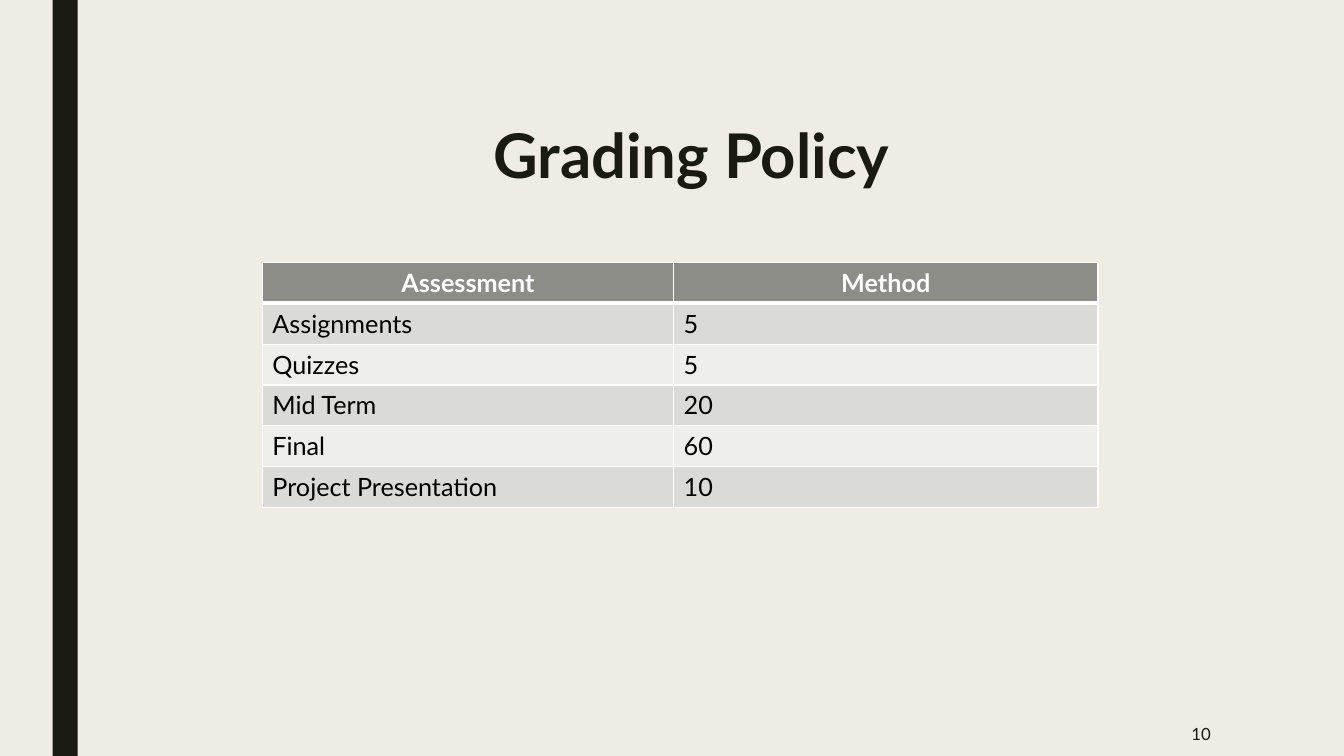
"""Build the Grading Policy slide."""
from dataclasses import dataclass

from lxml.etree import SubElement
from pptx import Presentation
from pptx.dml.color import RGBColor
from pptx.enum.shapes import MSO_SHAPE
from pptx.enum.text import MSO_ANCHOR, PP_ALIGN
from pptx.oxml.ns import qn
from pptx.slide import Slide
from pptx.table import _Cell
from pptx.text.text import _Paragraph
from pptx.util import Pt


@dataclass(frozen=True)
class Theme:
    font: str = "Lato"
    background: str = "EFEDE3"
    dark: str = "191B0E"
    white: str = "FFFFFF"
    black: str = "000000"
    header: str = "8C8D86"
    bands: tuple[str, str] = ("DADBD9", "EEEEED")
    title_size: float = 44
    table_size: float = 18
    number_size: float = 12


@dataclass(frozen=True)
class Label:
    text: str
    left: float
    top: float
    width: float
    height: float
    size: float
    align: PP_ALIGN
    anchor: MSO_ANCHOR
    bold: bool = False
    spacing: float = 1.0


@dataclass(frozen=True)
class Grade:
    assessment: str
    method: str


THEME = Theme()
LABELS = [
    Label("Grading Policy", 115.9, 86.4, 756, 66.2, THEME.title_size,
          PP_ALIGN.CENTER, MSO_ANCHOR.TOP, True, 0.89),
    Label("10", 745.9, 508.3, 126, 31.7, THEME.number_size,
          PP_ALIGN.RIGHT, MSO_ANCHOR.MIDDLE),
]
GRADES = [
    Grade("Assessment", "Method"),
    Grade("Assignments", "5"),
    Grade("Quizzes", "5"),
    Grade("Mid Term", "20"),
    Grade("Final", "60"),
    Grade("Project Presentation", "10"),
]
COLUMN_WIDTHS = (293.8, 303.1)
ROW_HEIGHT = 29.2


def style_text(p: _Paragraph, size: float, color: str, bold: bool,
               align: PP_ALIGN) -> None:
    p.alignment = align
    p.font.name = THEME.font
    p.font.size = Pt(size)
    p.font.bold = bold
    p.font.color.rgb = RGBColor.from_string(color)


def add_bar(s: Slide) -> None:
    sp = s.shapes.add_shape(MSO_SHAPE.RECTANGLE, Pt(37.5), Pt(0), Pt(18), Pt(540))
    sp.shadow.inherit = False
    sp.fill.solid()
    sp.fill.fore_color.rgb = RGBColor.from_string(THEME.dark)
    sp.line.fill.background()


def add_label(s: Slide, label: Label) -> None:
    sp = s.shapes.add_textbox(Pt(label.left), Pt(label.top),
                              Pt(label.width), Pt(label.height))
    tf = sp.text_frame
    tf.word_wrap = True
    tf.vertical_anchor = label.anchor
    p = tf.paragraphs[0]
    p.text = label.text
    p.line_spacing = label.spacing
    style_text(p, label.size, THEME.dark, label.bold, label.align)


def set_borders(cell: _Cell, top: float, bottom: float) -> None:
    tc_pr = cell._tc.get_or_add_tcPr()
    for side, width in (("L", 1), ("R", 1), ("T", top), ("B", bottom)):
        ln = SubElement(tc_pr, qn(f"a:ln{side}"), w=str(Pt(width)))
        fill = SubElement(ln, qn("a:solidFill"))
        SubElement(fill, qn("a:srgbClr"), val=THEME.white)


def fill_cell(cell: _Cell, text: str, row: int) -> None:
    is_header = row == 0
    set_borders(cell, 3 if row == 1 else 1, 3 if is_header else 1)
    cell.fill.solid()
    color = THEME.header if is_header else THEME.bands[(row - 1) % 2]
    cell.fill.fore_color.rgb = RGBColor.from_string(color)
    p = cell.text_frame.paragraphs[0]
    p.text = text
    style_text(p, THEME.table_size, THEME.white if is_header else THEME.black,
               is_header, PP_ALIGN.CENTER if is_header else PP_ALIGN.LEFT)


def add_grades(s: Slide) -> None:
    table = s.shapes.add_table(
        len(GRADES), len(COLUMN_WIDTHS), Pt(187.4), Pt(187.4),
        Pt(sum(COLUMN_WIDTHS)), Pt(ROW_HEIGHT * len(GRADES))).table
    table.horz_banding = False
    for column, width in zip(table.columns, COLUMN_WIDTHS):
        column.width = Pt(width)
    for row, grade in enumerate(GRADES):
        table.rows[row].height = Pt(ROW_HEIGHT)
        for col, text in enumerate((grade.assessment, grade.method)):
            fill_cell(table.cell(row, col), text, row)


def main() -> None:
    prs = Presentation()
    prs.slide_width, prs.slide_height = Pt(960), Pt(540)
    s = prs.slides.add_slide(prs.slide_layouts[6])
    s.background.fill.solid()
    s.background.fill.fore_color.rgb = RGBColor.from_string(THEME.background)
    add_bar(s)
    for label in LABELS:
        add_label(s, label)
    add_grades(s)
    prs.save("out.pptx")


if __name__ == "__main__":
    main()
